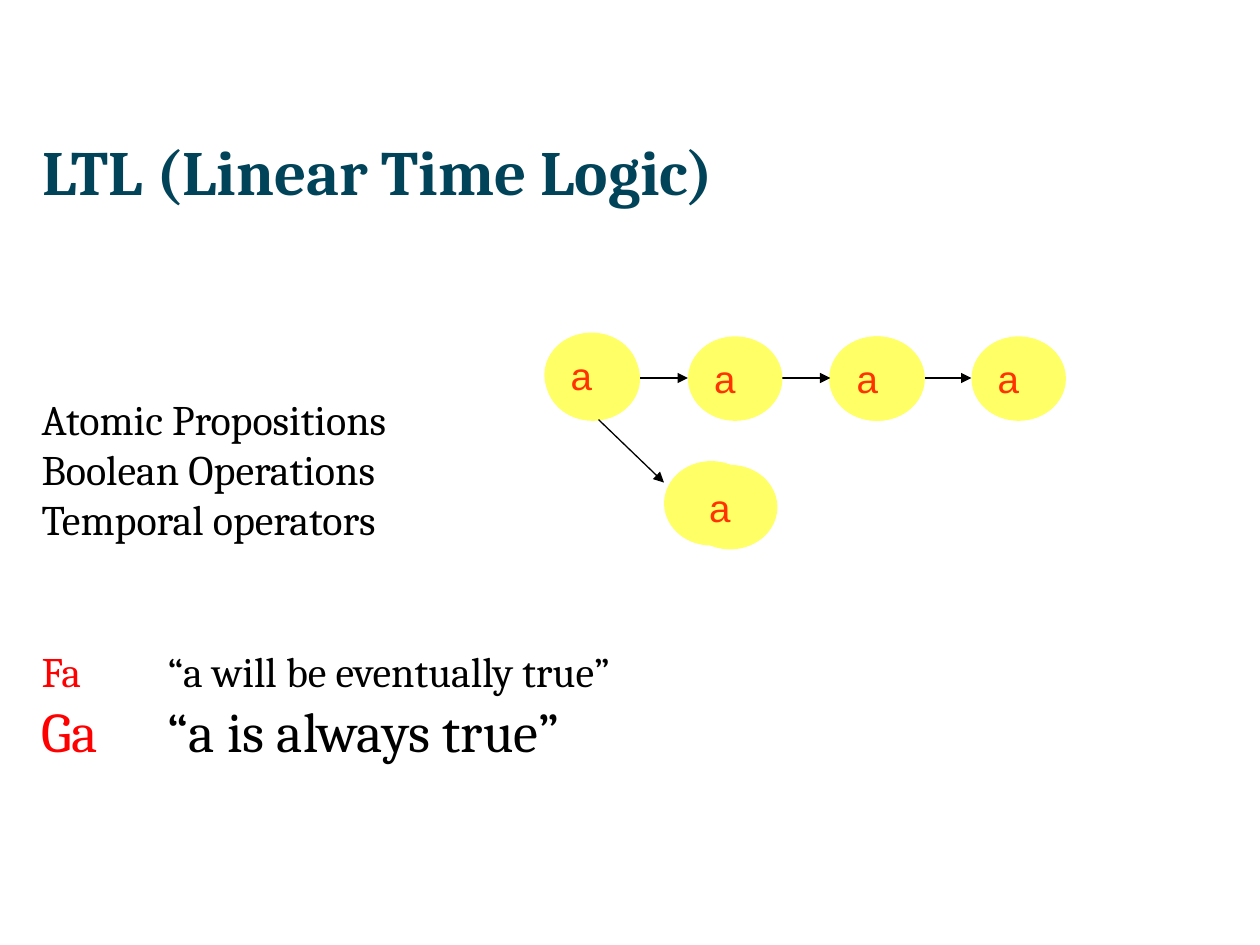
from lxml.etree import SubElement
from pptx import Presentation
from pptx.dml.color import RGBColor
from pptx.enum.shapes import MSO_CONNECTOR, MSO_SHAPE
from pptx.enum.text import MSO_ANCHOR, PP_ALIGN
from pptx.oxml.ns import qn
from pptx.util import Inches, Pt

COLORS = {"title": "014359", "text": "000000", "operator": "FF0000",
          "state": "FFFF66", "label": "FF3300"}
STATE_WIDTH, STATE_HEIGHT = 0.75, 0.67


def add_span(para, text, size=24, color="text", font="Cambria", bold=False):
    span = para.add_run()
    span.text = text
    span.font.name = font
    span.font.size = Pt(size)
    span.font.bold = bold
    span.font.color.rgb = RGBColor.from_string(COLORS[color])


def add_tab_stop(para, position):
    tabs = SubElement(para._p.get_or_add_pPr(), qn("a:tabLst"))
    SubElement(tabs, qn("a:tab"), pos=str(Inches(position)), algn="l")


def place(box, left, top, width, height):
    box.left, box.top = Inches(left), Inches(top)
    box.width, box.height = Inches(width), Inches(height)


def clear_margins(frame):
    frame.word_wrap = True
    frame.margin_left = frame.margin_right = 0
    frame.margin_top = frame.margin_bottom = 0


def add_title(page, text):
    title = page.shapes.title
    place(title, 0.34, 1.05, 9.32, 0.61)
    frame = title.text_frame
    clear_margins(frame)
    frame.vertical_anchor = MSO_ANCHOR.MIDDLE
    para = frame.paragraphs[0]
    para.alignment = PP_ALIGN.LEFT
    add_span(para, text, size=36, color="title", bold=True)


def add_body(page, topics, operators):
    box = page.shapes.add_textbox(Inches(0.33), Inches(3.12), Inches(9.16), Inches(3))
    frame = box.text_frame
    clear_margins(frame)
    para = frame.paragraphs[0]
    for index, topic in enumerate(topics):
        if index:
            para = frame.add_paragraph()
        add_span(para, topic)
    for index, (operator, meaning, size) in enumerate(operators):
        para = frame.add_paragraph()
        if index == 0:
            para.space_before = Pt(58)
        add_tab_stop(para, 1)
        add_span(para, operator + "\t", size=size, color="operator")
        add_span(para, meaning, size=size)


def add_state(page, left, top, label=None):
    state = page.shapes.add_shape(MSO_SHAPE.OVAL, Inches(left), Inches(top),
                                  Inches(STATE_WIDTH), Inches(STATE_HEIGHT))
    state.shadow.inherit = False
    state.fill.solid()
    state.fill.fore_color.rgb = RGBColor.from_string(COLORS["state"])
    state.line.fill.background()
    if label:
        state.text_frame.vertical_anchor = MSO_ANCHOR.MIDDLE
        para = state.text_frame.paragraphs[0]
        para.alignment = PP_ALIGN.LEFT
        add_span(para, label, size=22, color="label", font="Arial")


def add_arrow(page, start, end):
    arrow = page.shapes.add_connector(MSO_CONNECTOR.STRAIGHT,
                                      *map(Inches, start), *map(Inches, end))
    arrow.line.color.rgb = RGBColor.from_string(COLORS["text"])
    arrow.line.width = Pt(0.75)
    SubElement(arrow.line._get_or_add_ln(), qn("a:tailEnd"), type="triangle")
    SubElement(arrow._element.spPr, qn("a:effectLst"))


def main():
    deck = Presentation()
    deck.slide_width, deck.slide_height = Inches(10), Inches(7.5)
    page = deck.slides.add_slide(deck.slide_layouts[5])

    add_title(page, "LTL (Linear Time Logic)")
    add_body(page,
             ["Atomic Propositions", "Boolean Operations", "Temporal operators"],
             [("Fa", "“a will be eventually true”", 24),
              ("Ga", "“a is always true”", 32)])

    # Plain states behind the labelled ones
    for left, top in [(4.33, 2.67), (6.58, 2.67), (5.27, 3.66)]:
        add_state(page, left, top)

    # Transitions: along the path, then the branch
    for left in (5.08, 6.21, 7.33):
        add_arrow(page, (left, 3), (left + 0.38, 3))
    add_arrow(page, (4.75, 3.33), (5.27, 3.83))

    # States where a holds
    for left, top in [(4.32, 2.64), (5.46, 2.67), (6.59, 2.67), (7.71, 2.67),
                      (5.42, 3.69)]:
        add_state(page, left, top, "a")

    deck.save("out.pptx")


if __name__ == "__main__":
    main()
